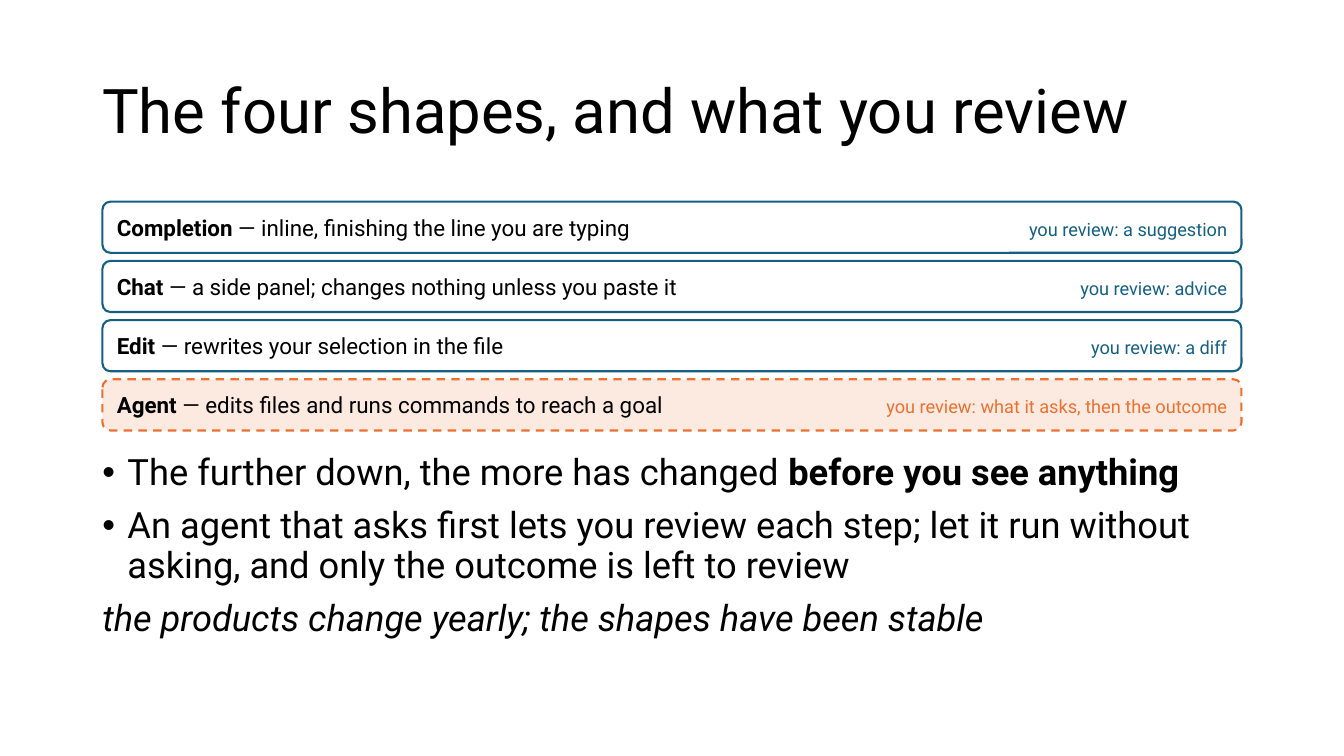
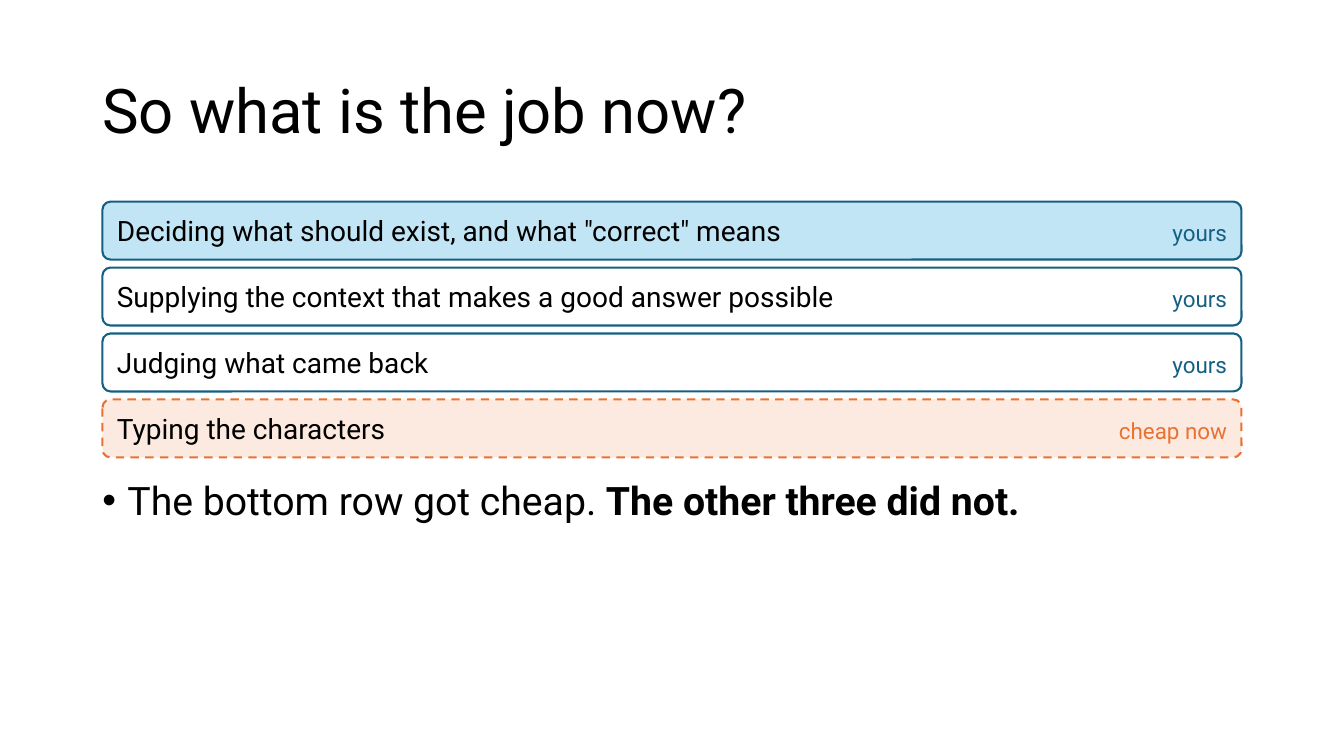
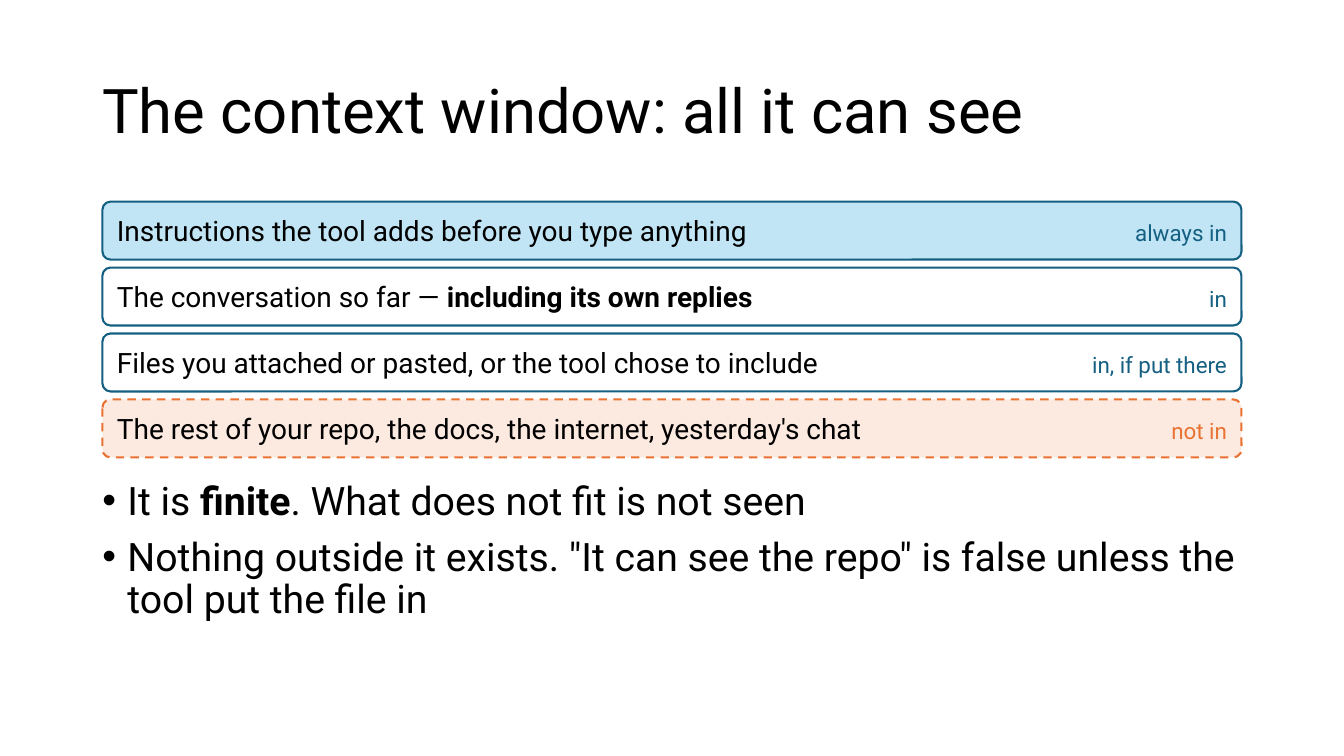
from lxml import etree
from pptx import Presentation
from pptx.dml.color import RGBColor
from pptx.enum import dml, shapes, text
from pptx.oxml import ns
from pptx import util as u

# Shared look
FONT = "Roboto"
BLACK, WHITE = "000000", "FFFFFF"
BLUE, SKY = "156082", "C1E5F5"
RUST, PEACH = "E97132", "FCEAE0"

# Grid: 160 columns by 90 rows of square cells
COLS, ROWS = 160, 90
CELL = u.Inches(7.5) / ROWS
LEFT, WIDE = 11, 138
INSET = 1.2
PAD = 1.44
TOP, GAP, ROUND = 24, 0.95, 0.96
FOOT = 81


def cells(n):
    return u.Emu(round(n * CELL))


def paint(code):
    return RGBColor.from_string(code)


def add_mark(para, tag, **attrs):
    """Append a bullet or tab element to the paragraph's properties."""
    props = para._p.get_or_add_pPr()
    return etree.SubElement(props, ns.qn(tag), **attrs)


def write(para, words, size, color=BLACK, italic=None):
    """Add text to a paragraph; parts between asterisks are bold."""
    for i, part in enumerate(words.split("*")):
        if part:
            run = para.add_run()
            run.text = part
            font = run.font
            font.name, font.size = FONT, u.Pt(size)
            font.bold, font.italic = i % 2 == 1, italic
            font.color.rgb = paint(color)


def add_box(slide, top, tall, anchor):
    box = slide.shapes.add_textbox(
        cells(LEFT), cells(top), cells(WIDE), cells(tall))
    frame = box.text_frame
    frame.word_wrap = True
    frame.vertical_anchor = anchor
    return frame


def add_title(slide, words):
    frame = add_box(slide, 4.8, 17.4, text.MSO_ANCHOR.MIDDLE)
    para = frame.paragraphs[0]
    para.line_spacing = 0.9
    write(para, words, 44)


def add_bar(group, top, tall, words, note, sizes, fill, cheap):
    """Draw one rounded row: words at the left, a note at the right."""
    wide = WIDE - 2 * INSET
    bar = group.shapes.add_shape(
        shapes.MSO_SHAPE.ROUNDED_RECTANGLE,
        cells(LEFT + INSET), cells(top), cells(wide), cells(tall))
    bar.adjustments[0] = ROUND / tall
    bar.shadow.inherit = False
    tone = RUST if cheap else BLUE
    bar.fill.solid()
    bar.fill.fore_color.rgb = paint(fill)
    bar.line.color.rgb = paint(tone)
    bar.line.width = u.Pt(1.5)
    if cheap:
        bar.line.dash_style = dml.MSO_LINE.DASH

    frame = bar.text_frame
    frame.word_wrap = True
    frame.vertical_anchor = text.MSO_ANCHOR.MIDDLE
    frame.margin_left = frame.margin_right = cells(PAD)
    frame.margin_top = frame.margin_bottom = cells(PAD / 2)
    para = frame.paragraphs[0]
    para.alignment = text.PP_ALIGN.LEFT
    stops = add_mark(para, "a:tabLst")
    etree.SubElement(stops, ns.qn("a:tab"),
                     pos=str(cells(wide - 2 * PAD)), algn="r")
    write(para, words, sizes[0])
    write(para, "\t" + note, sizes[1], tone)


def add_stack(slide, rows, tall, sizes, first):
    """Stack the rows, the last one dashed; return the stack's bottom."""
    group = slide.shapes.add_group_shape()
    fills = [first] + [WHITE] * (len(rows) - 2) + [PEACH]
    for i, ((words, note), fill) in enumerate(zip(rows, fills)):
        add_bar(group, TOP + i * (tall + GAP), tall, words, note, sizes,
                fill, fill == PEACH)
    return TOP + len(rows) * (tall + GAP) - GAP


def add_body(slide, top, points, size, aside=None):
    """List the points, then an optional closing line in italics."""
    frame = add_box(slide, top, FOOT - top, text.MSO_ANCHOR.TOP)
    lines = points + ([aside] if aside else [])
    for i, words in enumerate(lines):
        para = frame.add_paragraph() if i else frame.paragraphs[0]
        if words != aside:
            props = para._p.get_or_add_pPr()
            props.set("marL", str(cells(3)))
            props.set("indent", str(cells(-3)))
            add_mark(para, "a:buFont", typeface="Arial")
            add_mark(para, "a:buChar", char="•")
        para.line_spacing = 0.9
        if i:
            para.space_before = u.Pt(10)
        write(para, words, size, italic=words == aside)


def add_page(deck, title, rows, points, tall=6.9, sizes=(20, 16),
             first=SKY, size=28, aside=None):
    slide = deck.slides.add_slide(deck.slide_layouts[6])
    add_title(slide, title)
    base = add_stack(slide, rows, tall, sizes, first)
    add_body(slide, base + 2.25, points, size, aside)


def main():
    deck = Presentation()
    deck.slide_width, deck.slide_height = cells(COLS), cells(ROWS)

    # Four shapes
    add_page(
        deck, "The four shapes, and what you review",
        [("*Completion* — inline, finishing the line you are typing",
          "you review: a suggestion"),
         ("*Chat* — a side panel; changes nothing unless you paste it",
          "you review: advice"),
         ("*Edit* — rewrites your selection in the file",
          "you review: a diff"),
         ("*Agent* — edits files and runs commands to reach a goal",
          "you review: what it asks, then the outcome")],
        ["The further down, the more has changed *before you see anything*",
         "An agent that asks first lets you review each step; let it run "
         "without asking, and only the outcome is left to review"],
        tall=6.1, sizes=(16, 13), first=WHITE, size=25.9,
        aside="the products change yearly; the shapes have been stable")

    # The job
    add_page(
        deck, "So what is the job now?",
        [('Deciding what should exist, and what "correct" means', "yours"),
         ("Supplying the context that makes a good answer possible", "yours"),
         ("Judging what came back", "yours"),
         ("Typing the characters", "cheap now")],
        ["The bottom row got cheap. *The other three did not.*"])

    # Context window
    add_page(
        deck, "The context window: all it can see",
        [("Instructions the tool adds before you type anything", "always in"),
         ("The conversation so far — *including its own replies*", "in"),
         ("Files you attached or pasted, or the tool chose to include",
          "in, if put there"),
         ("The rest of your repo, the docs, the internet, yesterday's chat",
          "not in")],
        ["It is *finite*. What does not fit is not seen",
         'Nothing outside it exists. "It can see the repo" is false unless '
         "the tool put the file in"])

    deck.save("out.pptx")


if __name__ == "__main__":
    main()
